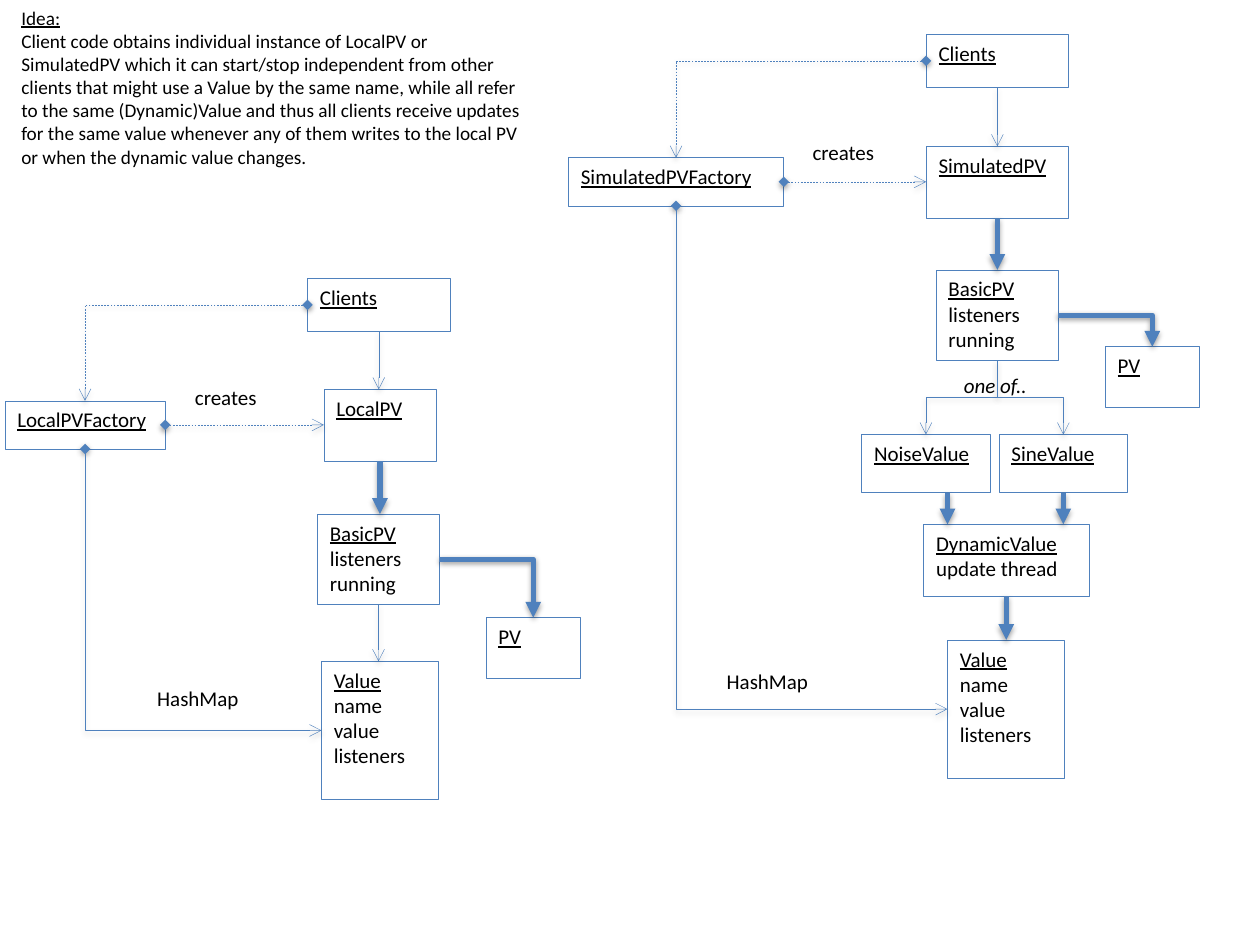
from lxml import etree
from pptx import Presentation
from pptx.dml.color import RGBColor
from pptx.enum.dml import MSO_LINE
from pptx.enum.shapes import MSO_CONNECTOR, MSO_SHAPE
from pptx.enum.text import MSO_ANCHOR, PP_ALIGN
from pptx.oxml.ns import qn
from pptx.util import Cm, Pt

RECT = MSO_SHAPE.RECTANGLE
LINE = MSO_CONNECTOR.STRAIGHT
ELBOW = MSO_CONNECTOR.ELBOW
DASH = MSO_LINE.DASH
TOP = MSO_ANCHOR.TOP
LEFT = PP_ALIGN.LEFT


def tint(code):
    return RGBColor.from_string(code)


def mid(box):
    return box.left + box.width // 2, box.top + box.height // 2


def foot(box):
    return mid(box)[0], box.top + box.height


def head(box):
    return mid(box)[0], box.top


def west(box):
    return box.left, mid(box)[1]


def east(box):
    return box.left + box.width, mid(box)[1]


class Kit:
    font = "Calibri"
    ink = "000000"
    blue = "4F81BD"
    white = "FFFFFF"
    thin = Pt(0.25)
    thick = Pt(3)

    def __init__(self, slide):
        self.shapes = slide.shapes

    def words(self, shape, text, size=12, title=True, slant=False):
        frame = shape.text_frame
        frame.text = text
        frame.word_wrap = True
        frame.vertical_anchor = TOP
        for row, para in enumerate(frame.paragraphs):
            para.alignment = LEFT
            for run in para.runs:
                run.font.name = self.font
                run.font.size = Pt(size)
                run.font.color.rgb = tint(self.ink)
                run.font.underline = title and row == 0
                run.font.italic = slant

    def box(self, text, x, y, w, h):
        shape = self.shapes.add_shape(RECT, Cm(x), Cm(y), Cm(w), Cm(h))
        shape.shadow.inherit = False
        shape.fill.solid()
        shape.fill.fore_color.rgb = tint(self.white)
        shape.line.color.rgb = tint(self.blue)
        shape.line.width = self.thin
        self.words(shape, text)
        return shape

    def label(self, text, x, y, w, h=0.94, **style):
        shape = self.shapes.add_textbox(Cm(x), Cm(y), Cm(w), Cm(h))
        self.words(shape, text, **style)

    def trim(self, link, bold=False, dash=False, gem=False):
        line = link.line
        line.color.rgb = tint(self.blue)
        line.width = self.thick if bold else self.thin
        if dash:
            line.dash_style = DASH
        node = link._element.spPr.find(qn("a:ln"))
        if gem:
            etree.SubElement(node, qn("a:headEnd"), type="diamond")
        etree.SubElement(node, qn("a:tailEnd"), type="triangle" if bold else "arrow")

    def link(self, start, end, **style):
        self.trim(self.shapes.add_connector(LINE, *start, *end), **style)

    def drop(self, upper, lower, x=None, **style):
        x = x or mid(upper)[0]
        self.link((x, foot(upper)[1]), (x, lower.top), **style)

    def bend(self, start, end, **style):
        link = self.shapes.add_connector(ELBOW, *start, *end)
        link._element.spPr.find(qn("a:prstGeom")).set("prst", "bentConnector2")
        self.trim(link, **style)

    def turn(self, start, end, kind, **style):
        (x1, y1), (x2, y2) = start, end
        wide, high = abs(y2 - y1), abs(x2 - x1)
        left, top = (x1 + x2 - wide) // 2, (y1 + y2 - high) // 2
        ends = [left, left + wide]
        if x2 > x1:
            ends.reverse()
        link = self.shapes.add_connector(ELBOW, ends[0], top, ends[1], top + high)
        prop = link._element.spPr
        prop.find(qn("a:xfrm")).set("rot", "16200000" if x2 > x1 else "5400000")
        prop.find(qn("a:prstGeom")).set("prst", kind)
        self.trim(link, **style)

    def tree(self, name, client, plant, local, basic, value, plain, make, store):
        user = self.box("Clients", *client, 2.87, 1.07)
        shop = self.box(name + "Factory", *plant, 0.97)
        item = self.box(name, *local, 1.45)
        base = self.box("BasicPV\nlisteners\nrunning", *basic, 2.46, 1.83)
        data = self.box("Value\nname\nvalue\nlisteners", *value, 2.36, 2.79)
        root = self.box("PV", *plain, 1.9, 1.22)
        self.label("creates", *make, 1.9, title=False)
        self.label("HashMap", *store, 2.18, title=False)
        self.bend(west(user), head(shop), dash=True, gem=True)
        self.drop(user, item)
        self.link(east(shop), (item.left, mid(shop)[1]), dash=True, gem=True)
        self.drop(item, base, bold=True)
        self.bend(east(base), head(root), bold=True)
        self.turn(foot(shop), west(data), "bentConnector2", gem=True)
        return base, data


def main():
    deck = Presentation()
    deck.slide_width, deck.slide_height = Cm(25.4), Cm(19.05)
    kit = Kit(deck.slides.add_slide(deck.slide_layouts[6]))
    kit.label(
        "Idea:\nClient code obtains individual instance of LocalPV or SimulatedPV "
        "which it can start/stop independent from other clients that might use a "
        "Value by the same name, while all refer to the same (Dynamic)Value and "
        "thus all clients receive updates for the same value whenever any of them "
        "writes to the local PV or when the dynamic value changes.",
        0.18, 0, 10.59, 3.81, size=11)

    base, data = kit.tree(
        "LocalPV", client=(6.2, 5.61), plant=(0.1, 8.08, 3.23),
        local=(6.53, 7.85, 2.26), basic=(6.4, 10.36), value=(6.48, 13.33),
        plain=(9.8, 12.45), make=(3.68, 7.62), store=(2.92, 13.69))
    kit.drop(base, data)

    base, data = kit.tree(
        "SimulatedPV", client=(18.67, 0.69), plant=(11.46, 3.18, 4.34),
        local=(18.67, 2.95, 2.87), basic=(18.87, 5.44), value=(19.1, 12.9),
        plain=(22.28, 6.99), make=(16.13, 2.69), store=(14.4, 13.36))
    live = kit.box("DynamicValue\nupdate thread", 18.62, 10.57, 3.33, 1.45)
    noise = kit.box("NoiseValue", 17.37, 8.76, 2.59, 1.17)
    sine = kit.box("SineValue", 20.14, 8.76, 2.59, 1.17)
    for kind in (noise, sine):
        kit.turn(foot(base), head(kind), "bentConnector3")
    kit.drop(noise, live, Cm(19.1), bold=True)
    kit.drop(sine, live, bold=True)
    kit.drop(live, data, bold=True)
    kit.label("one of..", 19.18, 7.39, 2.18, title=False, slant=True)
    deck.save("out.pptx")


if __name__ == "__main__":
    main()
